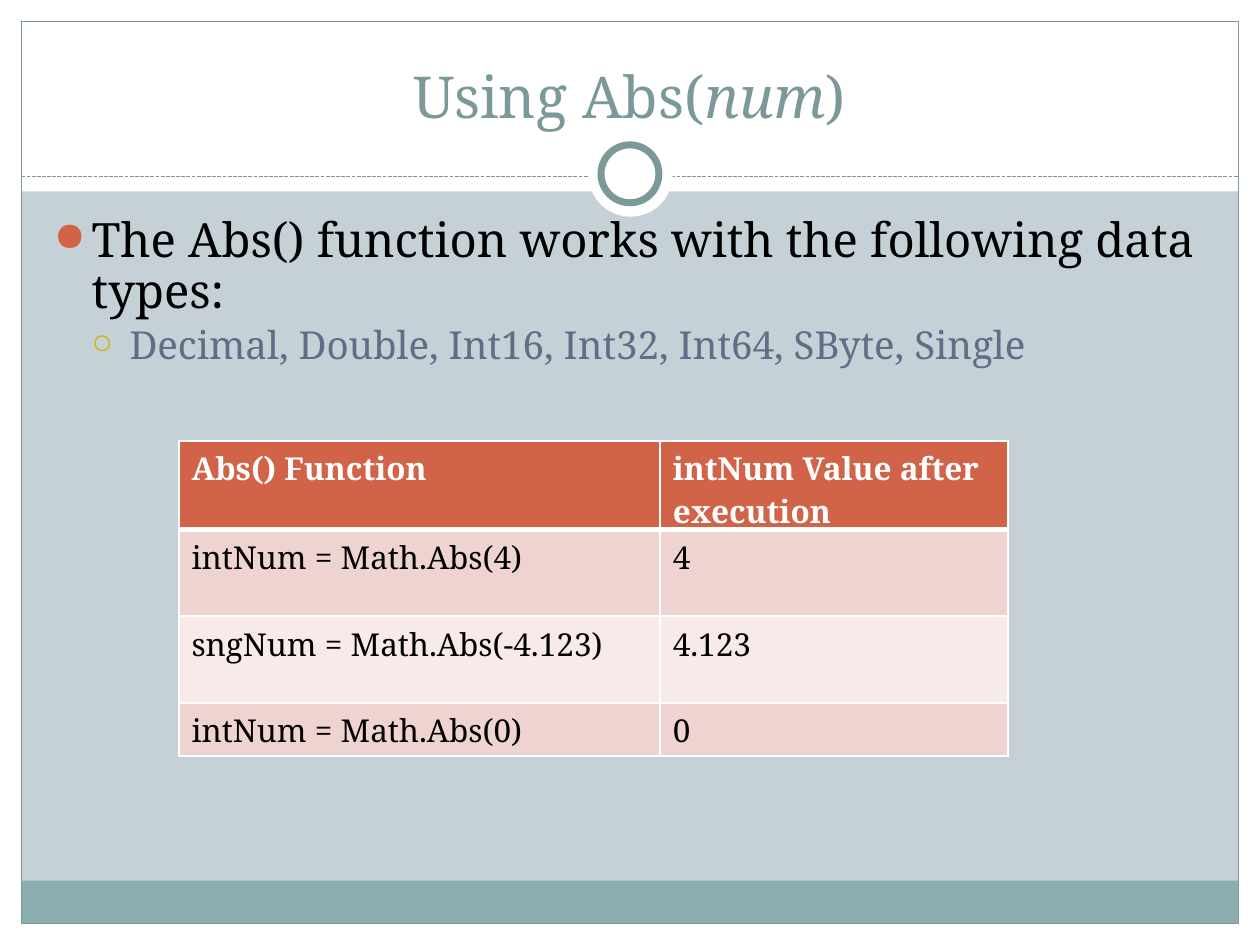
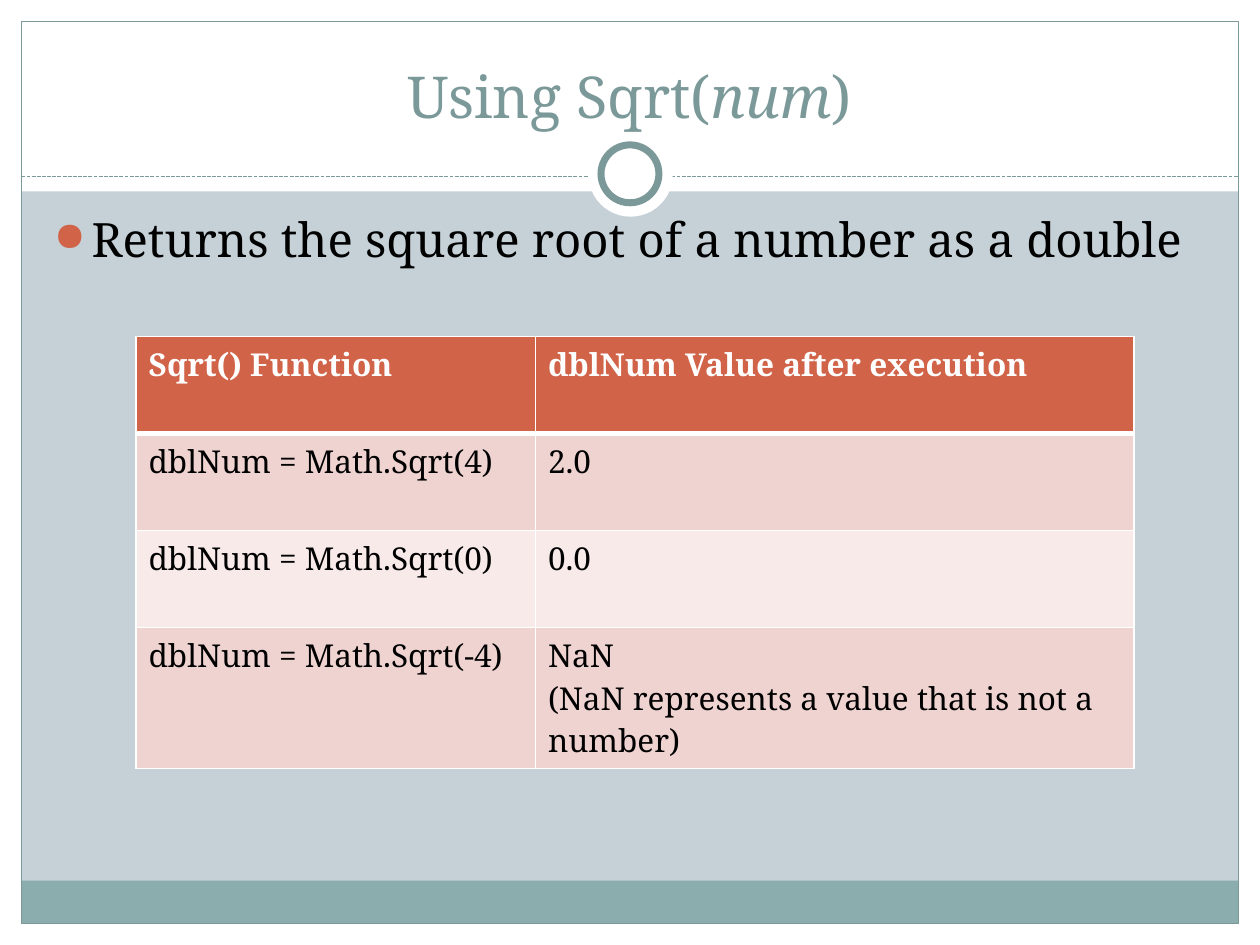
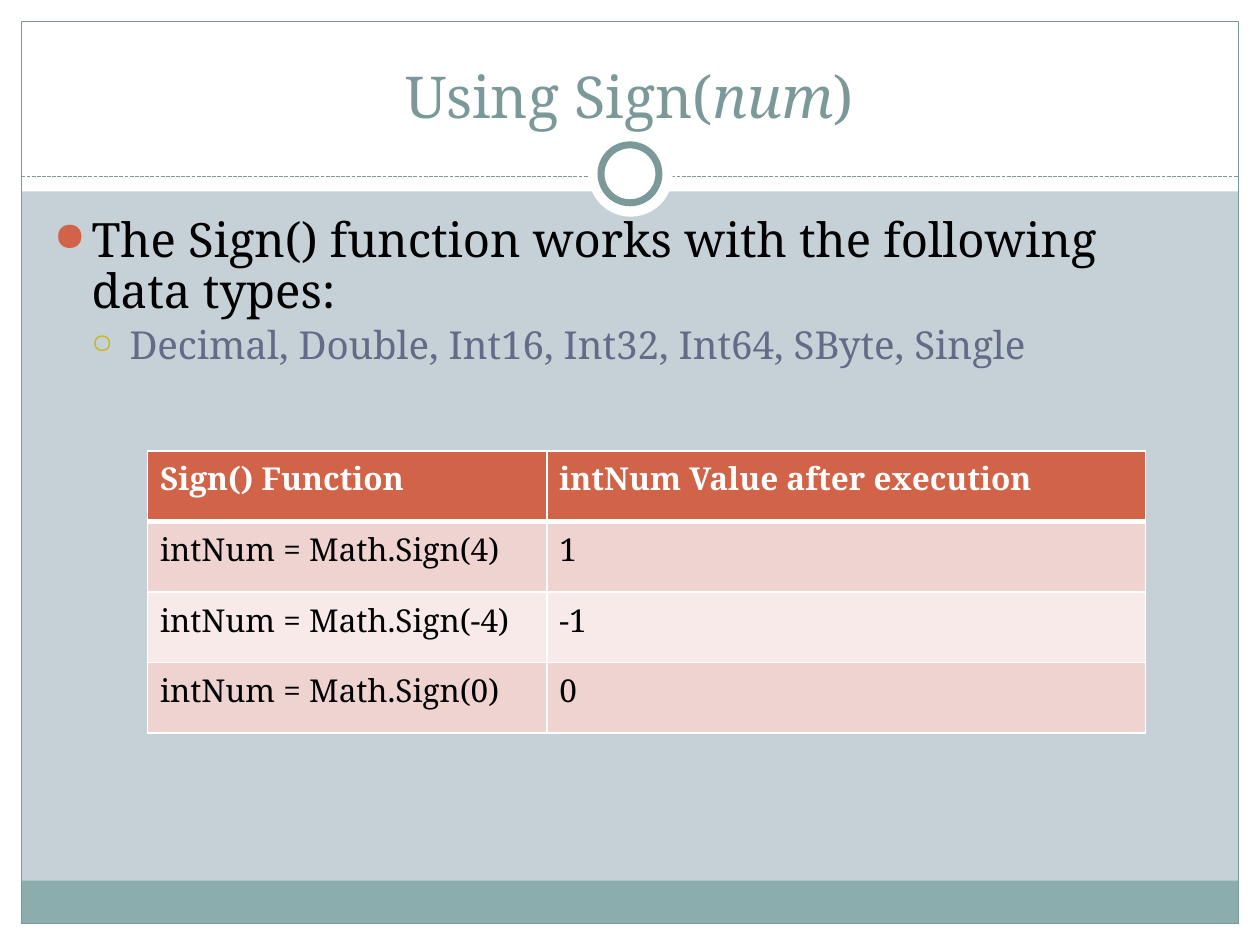
"""Build three slides on the Abs, Sqrt and Sign functions, each with a results table."""
from dataclasses import dataclass

from lxml import etree
from pptx import Presentation
from pptx import util as u
from pptx.dml import color as dml
from pptx.enum import dml as lines
from pptx.enum import shapes, text
from pptx.oxml import ns

FONT = "Noto Serif"
WHITE, BLACK = "FFFFFF", "000000"
GROUND, BAND, ACCENT = "C5D1D7", "8CADAE", "7C999A"
HEADER, ODD_ROW, EVEN_ROW = "D16349", "EED3D0", "F7EAE9"
WIDTH, HEIGHT, MARGIN = 10, 7.5, 0.17
DATA_TYPES = "Decimal, Double, Int16, Int32, Int64, SByte, Single"


@dataclass(frozen=True)
class Panel:
    """A preset shape of the slide frame."""

    left: float
    top: float
    width: float
    height: float
    fill: str | None = WHITE
    line: str | None = None
    line_width: float = 0.75
    preset: shapes.MSO_SHAPE = shapes.MSO_SHAPE.RECTANGLE


@dataclass(frozen=True)
class Level:
    """The look of one bullet level."""

    size: float
    color: str
    bullet: str
    bullet_color: str
    bullet_percent: int
    indent: float


@dataclass(frozen=True)
class Results:
    """A table of calls and their values, header first."""

    left: float
    top: float
    columns: tuple[float, ...]
    rows: tuple[float, ...]
    cells: tuple[tuple[str, str], ...]


@dataclass(frozen=True)
class Lesson:
    """The content of one slide."""

    function: str
    bullets: tuple[str, ...]
    results: Results


LEVELS = (
    Level(27, BLACK, "●", "D16349", 85, 0.3),
    Level(22, "646B86", "○", "CCB400", 70, 0.6),
)
EDGES = (
    Panel(0, HEIGHT - MARGIN, WIDTH, MARGIN),
    Panel(0, 0, WIDTH, 1.52),
    Panel(0, 0, MARGIN, HEIGHT),
    Panel(WIDTH - MARGIN, 0, MARGIN, HEIGHT),
    Panel(MARGIN, 6.99, WIDTH - 2 * MARGIN, 0.34, BAND),
    Panel(MARGIN, MARGIN, WIDTH - 2 * MARGIN, HEIGHT - 2 * MARGIN, None, ACCENT),
)
RINGS = (
    Panel(4.67, 1.05, 0.67, 0.67, preset=shapes.MSO_SHAPE.OVAL),
    Panel(4.77, 1.15, 0.46, 0.46, WHITE, ACCENT, 4, shapes.MSO_SHAPE.OVAL),
)
LESSONS = (
    Lesson(
        "Abs",
        ("The Abs() function works with the following data types:", DATA_TYPES),
        Results(1.42, 3.5, (3.82, 2.76), (0.69, 0.69, 0.69, 0.42), (
            ("Abs() Function", "intNum Value after execution"),
            ("intNum = Math.Abs(4)", "4"),
            ("sngNum = Math.Abs(-4.123)", "4.123"),
            ("intNum = Math.Abs(0)", "0"),
        )),
    ),
    Lesson(
        "Sqrt",
        ("Returns the square root of a number as a double",),
        Results(1.08, 2.67, (3.17, 4.75), (0.77, 0.77, 0.77, 1.12), (
            ("Sqrt() Function", "dblNum Value after execution"),
            ("dblNum = Math.Sqrt(4)", "2.0"),
            ("dblNum = Math.Sqrt(0)", "0.0"),
            ("dblNum = Math.Sqrt(-4)",
             "NaN\v(NaN represents a value that is not a number)"),
        )),
    ),
    Lesson(
        "Sign",
        ("The Sign() function works with the following data types:", DATA_TYPES),
        Results(1.17, 3.58, (3.17, 4.75), (0.56,) * 4, (
            ("Sign() Function", "intNum Value after execution"),
            ("intNum = Math.Sign(4)", "1"),
            ("intNum = Math.Sign(-4)", "-1"),
            ("intNum = Math.Sign(0)", "0"),
        )),
    ),
)


def rgb(value: str) -> dml.RGBColor:
    """Turn a hex string into a colour."""
    return dml.RGBColor.from_string(value)


def paint(fill, value: str) -> None:
    """Give a fill one solid colour."""
    fill.solid()
    fill.fore_color.rgb = rgb(value)


def add_element(parent, tag: str, **attributes: str):
    """Append a drawing element with attributes."""
    return etree.SubElement(parent, ns.qn(tag), attributes)


def style_font(font, size: float, value: str, bold: bool = False) -> None:
    """Set the typeface, size, colour and weight of a font."""
    font.name, font.size, font.bold = FONT, u.Pt(size), bold
    font.color.rgb = rgb(value)


def draw_panel(slide, panel: Panel) -> None:
    """Draw one shape of the frame."""
    box = map(u.Inches, (panel.left, panel.top, panel.width, panel.height))
    shape = slide.shapes.add_shape(panel.preset, *box)
    shape.shadow.inherit = False
    if panel.fill:
        paint(shape.fill, panel.fill)
    else:
        shape.fill.background()
    if panel.line:
        paint(shape.line.fill, panel.line)
        shape.line.width = u.Pt(panel.line_width)
    else:
        shape.line.fill.background()


def draw_frame(slide) -> None:
    """Draw the background, bands, dashed rule and ring."""
    paint(slide.background.fill, GROUND)
    for panel in EDGES:
        draw_panel(slide, panel)
    ends = map(u.Inches, (MARGIN, 1.4, WIDTH - MARGIN, 1.4))
    rule = slide.shapes.add_connector(shapes.MSO_CONNECTOR.STRAIGHT, *ends)
    paint(rule.line.fill, ACCENT)
    rule.line.width = u.Pt(0.75)
    rule.line.dash_style = lines.MSO_LINE.SQUARE_DOT
    add_element(rule._element.spPr, "a:effectLst")
    for panel in RINGS:
        draw_panel(slide, panel)


def add_frame(slide, left: float, top: float, width: float, height: float):
    """Add a wrapping text box and return its text frame."""
    box = map(u.Inches, (left, top, width, height))
    frame = slide.shapes.add_textbox(*box).text_frame
    frame.word_wrap = True
    return frame


def draw_title(slide, function: str) -> None:
    """Write the title with its argument in italics."""
    frame = add_frame(slide, 0.33, 0.25, 9.33, 0.83)
    frame.vertical_anchor = text.MSO_ANCHOR.BOTTOM
    paragraph = frame.paragraphs[0]
    paragraph.alignment = text.PP_ALIGN.CENTER
    style_font(paragraph.font, 33, ACCENT)
    for part in (f"Using {function}(", "num", ")"):
        run = paragraph.add_run()
        run.text = part
        run.font.italic = part == "num"


def draw_bullets(slide, bullets: tuple[str, ...]) -> None:
    """Write the bullets, each one level below the last."""
    frame = add_frame(slide, 0.33, 1.67, 9.3, 5)
    for depth, (bullet, level) in enumerate(zip(bullets, LEVELS)):
        paragraph = frame.add_paragraph() if depth else frame.paragraphs[0]
        paragraph.text, paragraph.level = bullet, depth
        paragraph.line_spacing = 0.9
        paragraph.space_before = u.Pt(level.size * 0.2)
        properties = paragraph._p.get_or_add_pPr()
        properties.set("marL", str(u.Inches(level.indent)))
        properties.set("indent", str(u.Inches(-0.3)))
        bullet_color = add_element(properties, "a:buClr")
        add_element(bullet_color, "a:srgbClr", val=level.bullet_color)
        add_element(properties, "a:buSzPct", val=str(level.bullet_percent * 1000))
        add_element(properties, "a:buChar", char=level.bullet)
        style_font(paragraph.font, level.size, level.color)


def draw_borders(cell, top: float, bottom: float) -> None:
    """Draw white borders round a cell."""
    properties = cell._tc.get_or_add_tcPr()
    for side, width in (("L", 1), ("R", 1), ("T", top), ("B", bottom)):
        border = add_element(properties, f"a:ln{side}", w=str(u.Pt(width)))
        add_element(add_element(border, "a:solidFill"), "a:srgbClr", val=WHITE)


def draw_results(slide, results: Results) -> None:
    """Draw the table with a header and banded rows."""
    size = len(results.rows), len(results.columns)
    box = map(u.Inches, (results.left, results.top,
                         sum(results.columns), sum(results.rows)))
    table = slide.shapes.add_table(*size, *box).table
    for column, width in zip(table.columns, results.columns):
        column.width = u.Inches(width)
    for index, (row, height) in enumerate(zip(table.rows, results.rows)):
        row.height = u.Inches(height)
        header = index == 0
        fill = HEADER if header else (EVEN_ROW, ODD_ROW)[index % 2]
        for cell, value in zip(row.cells, results.cells[index]):
            cell.text = value
            draw_borders(cell, 3 if index == 1 else 1, 3 if header else 1)
            paint(cell.fill, fill)
            style_font(cell.text_frame.paragraphs[0].font, 18,
                       WHITE if header else BLACK, header)


def main() -> None:
    """Build and save the presentation."""
    presentation = Presentation()
    presentation.slide_width = u.Inches(WIDTH)
    presentation.slide_height = u.Inches(HEIGHT)
    for lesson in LESSONS:
        slide = presentation.slides.add_slide(presentation.slide_layouts[6])
        draw_frame(slide)
        draw_title(slide, lesson.function)
        draw_bullets(slide, lesson.bullets)
        draw_results(slide, lesson.results)
    presentation.save("out.pptx")


main()
